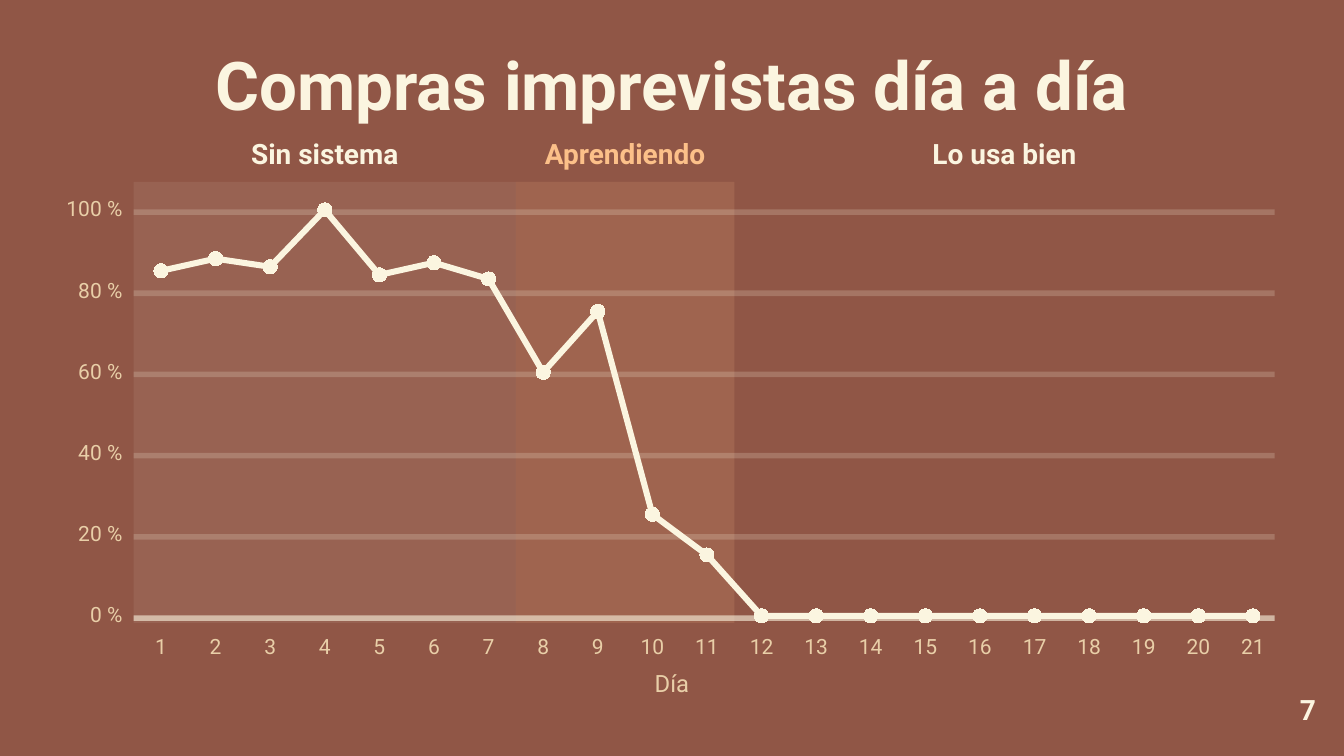
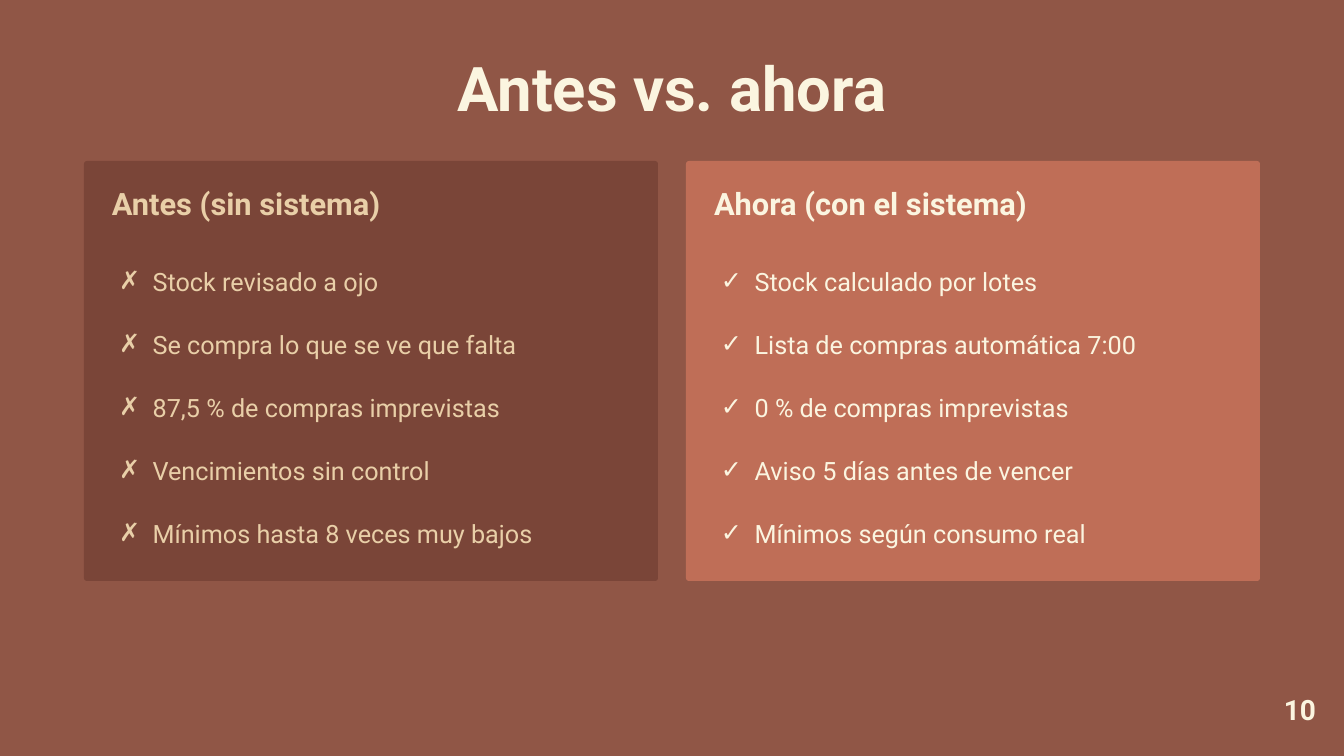
from lxml.etree import SubElement
from pptx import Presentation
from pptx.chart.data import CategoryChartData
from pptx.dml.color import RGBColor
from pptx.enum.chart import XL_CHART_TYPE as ChartType
from pptx.enum.chart import XL_MARKER_STYLE as Marker
from pptx.enum.chart import XL_TICK_LABEL_POSITION as TickLabel
from pptx.enum.chart import XL_TICK_MARK as Tick
from pptx.enum.shapes import MSO_SHAPE as Shape
from pptx.enum.text import PP_ALIGN as Align
from pptx.oxml import parse_xml
from pptx.oxml.ns import nsdecls, qn
from pptx.util import Inches, Pt

COLS, ROWS = 96, 54
FONT = "Roboto"
BACK, CREAM, SAND, PEACH = "905646", "FBF5E0", "E9CFA8", "FCC089"
DARK, CORAL = "7A4538", "BF6E57"

DAY_W, STEP_H = 3.9, 5.8
PLOT_COL, PLOT_ROW, RULE_W = 9.55, 15, 81.5
SHARES = [100, 80, 60, 40, 20, 0]
PURCHASES = [85, 88, 86, 100, 84, 87, 83, 60, 75, 25, 15] + [0] * 10
PHASES = [
    ("Sin sistema", 7 * DAY_W, CREAM, 8),
    ("Aprendiendo", 4 * DAY_W, PEACH, 14),
    ("Lo usa bien", 38.6, CREAM, 0),
]
CARDS = [
    ("Antes (sin sistema)", DARK, SAND, "✗", [
        "Stock revisado a ojo",
        "Se compra lo que se ve que falta",
        "87,5 % de compras imprevistas",
        "Vencimientos sin control",
        "Mínimos hasta 8 veces muy bajos",
    ]),
    ("Ahora (con el sistema)", CORAL, CREAM, "✓", [
        "Stock calculado por lotes",
        "Lista de compras automática 7:00",
        "0 % de compras imprevistas",
        "Aviso 5 días antes de vencer",
        "Mínimos según consumo real",
    ]),
]


def rgb(value):
    return RGBColor.from_string(value)


def assign(obj, **formats):
    for name, value in formats.items():
        setattr(obj, name, value)


class Deck:
    def __init__(self):
        self.prs = Presentation()
        assign(self.prs, slide_width=Inches(20), slide_height=Inches(11.25))
        self.s = None

    def box(self, col, row, cols, rows):
        x = self.prs.slide_width / COLS
        y = self.prs.slide_height / ROWS
        return int(col * x), int(row * y), int(cols * x), int(rows * y)

    def slide(self, title, size, title_row, number):
        self.s = self.prs.slides.add_slide(self.prs.slide_layouts[6])
        fill = self.s.background.fill
        fill.solid()
        fill.fore_color.rgb = rgb(BACK)
        self.text([title], (0, title_row, COLS, 6.4), size, CREAM, True, Align.CENTER)
        self.text([str(number)], (86, 49.1, 8, 2.8), 30, CREAM, True, Align.RIGHT)

    def text(self, lines, area, size, color, bold=False, align=Align.LEFT,
             leading=1.4, bullet=None):
        tf = self.s.shapes.add_textbox(*self.box(*area)).text_frame
        assign(tf, word_wrap=True, margin_left=0, margin_top=0,
               margin_right=0, margin_bottom=0)
        for i, line in enumerate(lines):
            p = tf.add_paragraph() if i else tf.paragraphs[0]
            assign(p, alignment=align, line_spacing=Pt(size * leading))
            if bullet:
                self.bullet(p, bullet)
            r = p.add_run()
            r.text = line
            assign(r.font, name=FONT, size=Pt(size), bold=bold)
            r.font.color.rgb = rgb(color)

    def bullet(self, p, char):
        pPr = p._p.get_or_add_pPr()
        indent = Inches(0.5)
        pPr.set("marL", str(indent))
        pPr.set("indent", str(-indent))
        SubElement(pPr, qn("a:buFont"), typeface=FONT)
        SubElement(pPr, qn("a:buChar"), char=char)

    def panel(self, area, color, kind=Shape.RECTANGLE, alpha=100):
        sp = self.s.shapes.add_shape(kind, *self.box(*area))
        sp.shadow.inherit = False
        sp.fill.solid()
        sp.fill.fore_color.rgb = rgb(color)
        sp.line.fill.background()
        if kind == Shape.ROUNDED_RECTANGLE:
            sp.adjustments[0] = 0.007
        if alpha < 100:
            for tone in sp.element.xpath("./p:spPr/a:solidFill/a:srgbClr"):
                SubElement(tone, qn("a:alpha"), val=str(alpha * 1000))

    def line_chart(self, values, frame, plot):
        data = CategoryChartData()
        data.categories = [str(day + 1) for day in range(len(values))]
        data.add_series("Compras imprevistas", values)
        chart = self.s.shapes.add_chart(
            ChartType.LINE_MARKERS, *self.box(*frame), data).chart
        assign(chart, has_legend=False, has_title=False)
        assign(chart.font, name=FONT, size=Pt(22.5))
        chart.font.color.rgb = rgb(SAND)
        chart.plots[0].vary_by_categories = False

        series = chart.plots[0].series[0]
        series.smooth = False
        series.format.line.color.rgb = rgb(CREAM)
        series.format.line.width = Pt(6.5)
        assign(series.marker, style=Marker.CIRCLE, size=15)
        series.marker.format.fill.solid()
        series.marker.format.fill.fore_color.rgb = rgb(CREAM)
        series.marker.format.line.fill.background()

        for axis in (chart.category_axis, chart.value_axis):
            assign(axis, major_tick_mark=Tick.NONE, minor_tick_mark=Tick.NONE,
                   tick_label_position=TickLabel.NONE, has_major_gridlines=False)
            axis.format.line.fill.background()
        assign(chart.value_axis, minimum_scale=0, maximum_scale=100, major_unit=20)

        root = chart.element
        for cross in root.xpath(".//c:crossBetween"):
            cross.set("val", "between")
        self.place_plot(root, frame, plot)

    def place_plot(self, root, frame, plot):
        area = root.xpath(".//c:plotArea")[0]
        for old in area.xpath("./c:layout"):
            area.remove(old)
        layout = area.makeelement(qn("c:layout"))
        area.insert(0, layout)
        manual = SubElement(layout, qn("c:manualLayout"))
        settings = {
            "layoutTarget": "inner", "xMode": "edge", "yMode": "edge",
            "x": (plot[0] - frame[0]) / frame[2],
            "y": (plot[1] - frame[1]) / frame[3],
            "w": plot[2] / frame[2],
            "h": plot[3] / frame[3],
        }
        for name, value in settings.items():
            SubElement(manual, qn(f"c:{name}"), val=str(value))
        clear = f"<c:spPr {nsdecls('c', 'a')}><a:noFill/><a:ln><a:noFill/></a:ln></c:spPr>"
        root.xpath("./c:chart")[0].addnext(parse_xml(clear))


def daily_purchases(deck):
    deck.slide("Compras imprevistas día a día", 72, 2.16, 7)
    col = PLOT_COL
    for name, width, color, alpha in PHASES:
        if alpha:
            deck.panel((col, 13, width, 31.5), color, alpha=alpha)
        deck.text([name], (col, 9.36, width, 2.8), 30, color, True, Align.CENTER)
        col += width
    for i, share in enumerate(SHARES):
        row = PLOT_ROW + i * STEP_H
        deck.panel((PLOT_COL, row - 0.05, RULE_W, 0.4), CREAM,
                   alpha=20 if share else 60)
        deck.text([f"{share} %"], (3, row - 1.3, 5.75, 2.1), 22.5, SAND,
                  align=Align.RIGHT)
    plot = (PLOT_COL, PLOT_ROW, len(PURCHASES) * DAY_W, 5 * STEP_H)
    deck.line_chart(PURCHASES, (8, 13, 85, 33), plot)
    for i in range(len(PURCHASES)):
        deck.text([str(i + 1)], (10 + i * DAY_W, 44.93, 3, 2.1), 22.5, SAND,
                  align=Align.CENTER)
    deck.text(["Día"], (0, 47.46, COLS, 2.3), 25.5, SAND, align=Align.CENTER)


def before_and_now(deck):
    deck.slide("Antes vs. ahora", 66, 2.68, 10)
    for i, (heading, fill, color, mark, points) in enumerate(CARDS):
        col = 6 + 43 * i
        deck.panel((col, 11.5, 41, 30), fill, Shape.ROUNDED_RECTANGLE)
        deck.text([heading], (col + 2, 12.77, 37, 3.1), 33, color, True)
        deck.text(points, (col + 2.5, 16.68, 37, 22), 27, color,
                  leading=2.5, bullet=mark)


def main():
    deck = Deck()
    daily_purchases(deck)
    before_and_now(deck)
    deck.prs.save("out.pptx")


if __name__ == "__main__":
    main()
